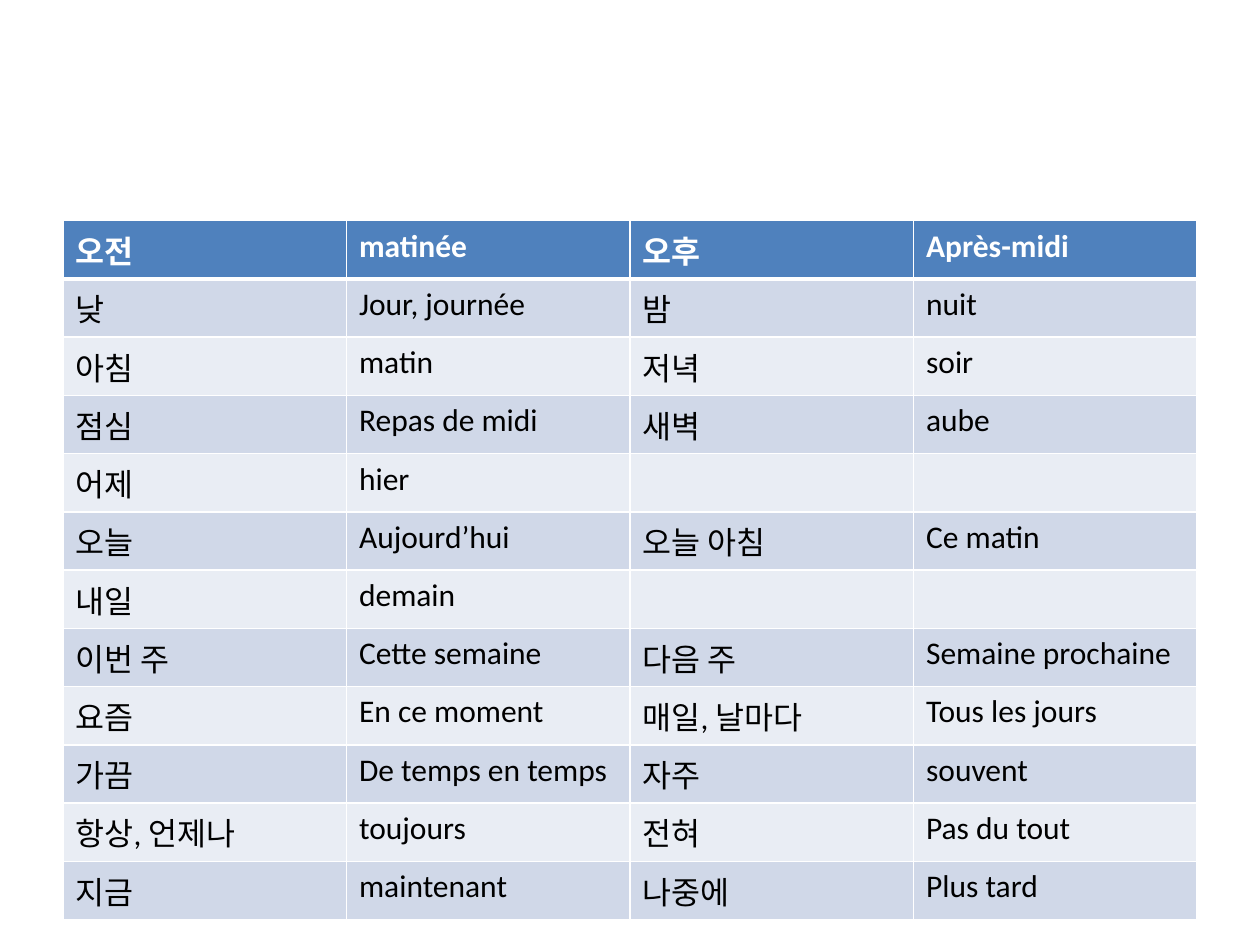
from dataclasses import dataclass

from lxml.etree import SubElement
from pptx import Presentation
from pptx.dml.color import RGBColor
from pptx.oxml.ns import qn
from pptx.util import Cm, Pt


@dataclass(frozen=True)
class Theme:
    font: str = "Calibri"
    text_size: int = 18
    header_text: str = "FFFFFF"
    body_text: str = "000000"
    header_fill: str = "4F81BD"
    bands: tuple = ("D0D8E8", "E9EDF4")
    border: str = "FFFFFF"
    thin: int = 1
    thick: int = 3


class SlideBuilder:
    def __init__(self, slide, theme):
        self.slide = slide
        self.theme = theme

    def border(self, cell, side, width):
        line = SubElement(cell._tc.get_or_add_tcPr(), qn(f"a:ln{side}"), w=str(Pt(width)))
        fill = SubElement(line, qn("a:solidFill"))
        SubElement(fill, qn("a:srgbClr"), val=self.theme.border)

    def cell(self, cell, text, row):
        theme = self.theme
        is_header = row == 0
        thick_side = {0: "B", 1: "T"}.get(row)
        for side in "LRTB":
            self.border(cell, side, theme.thick if side == thick_side else theme.thin)
        cell.fill.solid()
        background = theme.header_fill if is_header else theme.bands[(row - 1) % 2]
        cell.fill.fore_color.rgb = RGBColor.from_string(background)
        cell.text_frame.text = text
        for run in cell.text_frame.paragraphs[0].runs:
            run.font.name = theme.font
            run.font.size = Pt(theme.text_size)
            run.font.bold = is_header
            color = theme.header_text if is_header else theme.body_text
            run.font.color.rgb = RGBColor.from_string(color)

    def table(self, entries, left, top, width, row_height):
        table = self.slide.shapes.add_table(
            len(entries), len(entries[0]), left, top, width, row_height * len(entries)
        ).table
        for row, entry in enumerate(entries):
            for column, text in enumerate(entry):
                self.cell(table.cell(row, column), text, row)


VOCABULARY = [
    ("오전", "matinée", "오후", "Après-midi"),
    ("낮", "Jour, journée", "밤", "nuit"),
    ("아침", "matin", "저녁", "soir"),
    ("점심", "Repas de midi", "새벽", "aube"),
    ("어제", "hier", "", ""),
    ("오늘", "Aujourd’hui", "오늘 아침", "Ce matin"),
    ("내일", "demain", "", ""),
    ("이번 주", "Cette semaine", "다음 주", "Semaine prochaine"),
    ("요즘", "En ce moment", "매일, 날마다", "Tous les jours"),
    ("가끔", "De temps en temps", "자주", "souvent"),
    ("항상, 언제나", "toujours", "전혀", "Pas du tout"),
    ("지금", "maintenant", "나중에", "Plus tard"),
]


def main():
    presentation = Presentation()
    presentation.slide_width = Cm(25.4)
    presentation.slide_height = Cm(19.05)
    slide = presentation.slides.add_slide(presentation.slide_layouts[6])
    builder = SlideBuilder(slide, Theme())
    builder.table(VOCABULARY, Cm(1.27), Cm(4.45), Cm(22.86), Cm(1.03))
    presentation.save("out.pptx")


if __name__ == "__main__":
    main()
